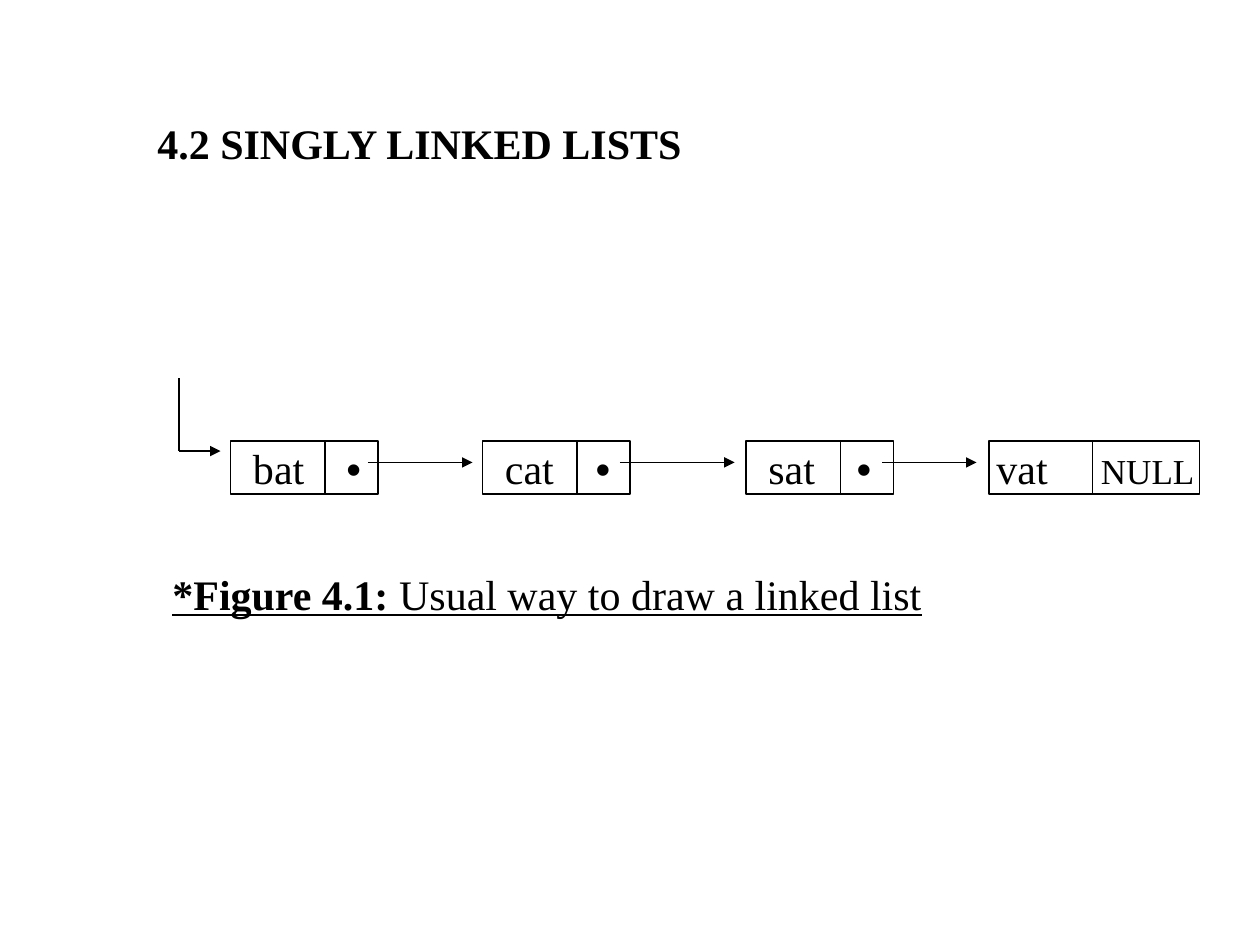
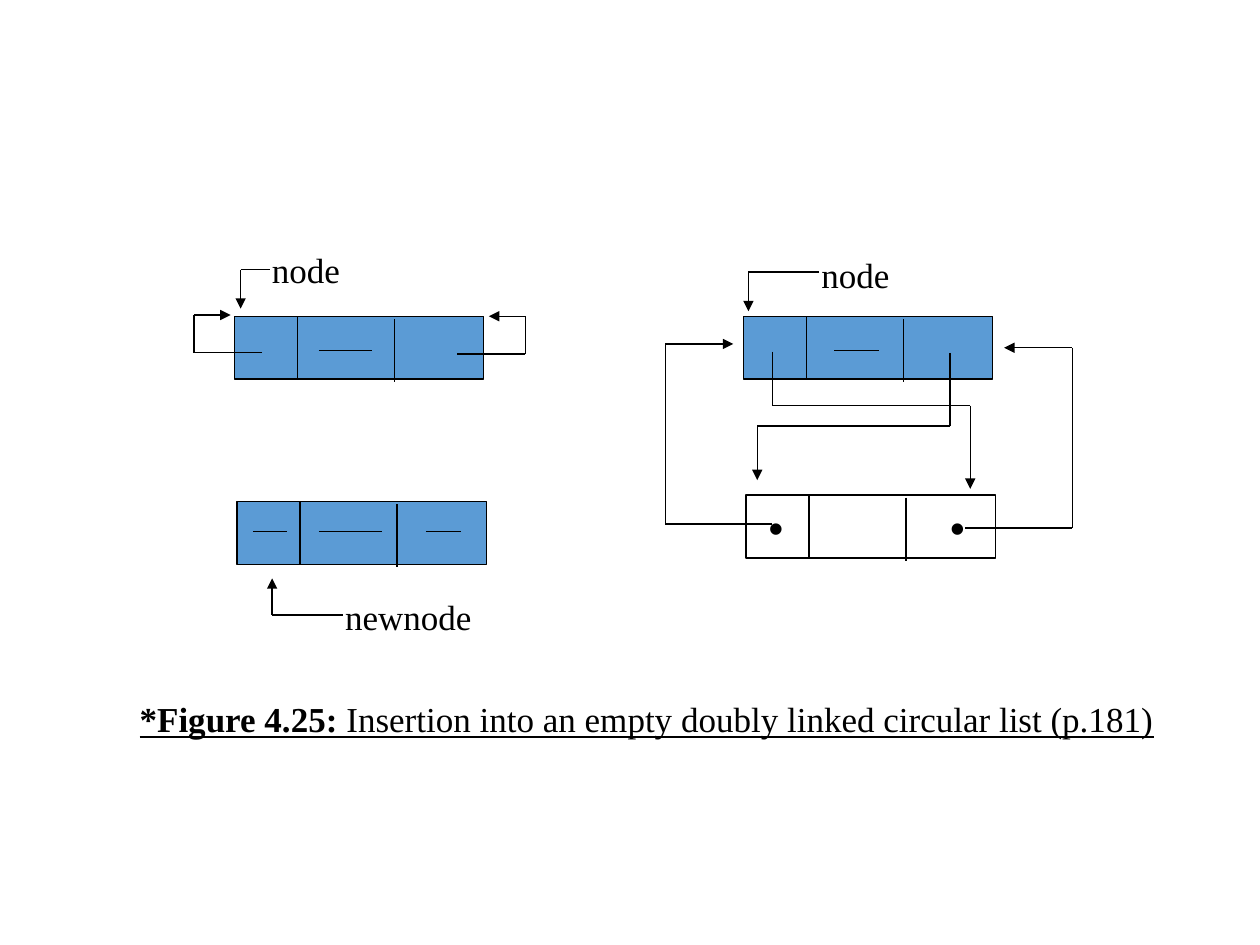
from lxml import etree
from pptx import Presentation
from pptx.dml.color import RGBColor
from pptx.enum.shapes import MSO_CONNECTOR, MSO_SHAPE
from pptx.enum.text import MSO_ANCHOR, PP_ALIGN
from pptx.oxml.ns import qn
from pptx.util import Inches, Pt

RECT = MSO_SHAPE.RECTANGLE
LINE = MSO_CONNECTOR.STRAIGHT
LEFT = PP_ALIGN.LEFT
MIDDLE = MSO_ANCHOR.MIDDLE
TOP = MSO_ANCHOR.TOP

# Shared look; the grid has square cells, 10 columns by 7.5 rows
BLACK, BLUE = "000000", "5B9BD5"
SERIF, SANS = "Times New Roman", "Arial"
CELL = Inches(1)
COLS, ROWS = 10, 7.5
THIN = Pt(0.75)
DOT = "•"

# Nodes of the singly linked list
HIGH, TALL = 3.5, 0.42
WIDE, CUT = 1.17, 0.75

# Nodes of the doubly linked list
SPAN, DEEP = 1.98, 0.5
CUTS = ((0.5, 0), (1.27, 0.02))


def grid(*cells):
    return [round(cell * CELL) for cell in cells]


def paint(color):
    return RGBColor.from_string(color)


def fill_text(frame, runs, size=24, tab=None, anchor=TOP, inset=0.1):
    """Write runs of (text, format) as one paragraph."""
    frame.word_wrap = True
    frame.vertical_anchor = anchor
    frame.margin_left = round(inset * CELL)
    para = frame.paragraphs[0]
    para.alignment = LEFT
    if tab:
        stops = etree.SubElement(para._p.get_or_add_pPr(), qn("a:tabLst"))
        etree.SubElement(stops, qn("a:tab"), pos=str(round(tab * CELL)), algn="l")
    for words, form in runs:
        run = para.add_run()
        run.text = words
        font = run.font
        font.name = form.get("face", SERIF)
        font.size = Pt(form.get("size", size))
        font.bold = form.get("bold", False)
        font.underline = form.get("under", False)
        font.color.rgb = paint(BLACK)


def label(slide, left, top, width, runs, **form):
    box = slide.shapes.add_textbox(*grid(left, top, width, 0.5))
    fill_text(box.text_frame, runs, **form)


def caption(slide, left, top, width, figure, words, size):
    runs = [(figure + " ", {"bold": True, "under": True}), (words, {"under": True})]
    label(slide, left, top, width, runs, size=size)


def frame(slide, left, top, width, height, fill=None):
    box = slide.shapes.add_shape(RECT, *grid(left, top, width, height))
    box.shadow.inherit = False
    if fill:
        box.fill.solid()
        box.fill.fore_color.rgb = paint(fill)
    else:
        box.fill.background()
    box.line.color.rgb = paint(BLACK)
    box.line.width = THIN
    return box


def wire(slide, *stops, tip=False):
    """Join the stops with straight lines; tip puts an arrowhead on the last."""
    for start, end in zip(stops, stops[1:]):
        part = slide.shapes.add_connector(LINE, *grid(*start, *end))
        part.line.color.rgb = paint(BLACK)
        part.line.width = THIN
        props = part._element.spPr
        if tip and end == stops[-1]:
            etree.SubElement(part.line._get_or_add_ln(), qn("a:tailEnd"), type="triangle")
        etree.SubElement(props, qn("a:effectLst"))


def dash(slide, left, right, row):
    wire(slide, (left, row), (right, row))


def single(slide, left, word, mark, form, width=WIDE, cut=CUT, pad=0.08, tab=0.73):
    """Node with a data field and one link field."""
    frame(slide, left, HIGH, width, TALL)
    wire(slide, (left + cut, HIGH), (left + cut, HIGH + TALL))
    runs = [(word + "\t", {}), (mark, form)]
    label(slide, left + pad, HIGH - 0.04, width + 0.3, runs, tab=tab)


def double(slide, left, top, fill=None):
    """Node with a link field on either side of the data field."""
    box = frame(slide, left, top, SPAN, DEEP, fill)
    for cut, drop in CUTS:
        wire(slide, (left + cut, top + drop), (left + cut, top + drop + DEEP))
    return box


def pointer(slide, name, left, row, end, tip, top):
    """Named pointer: a line from the name that bends towards a node."""
    wire(slide, (end, row), (left, row), (left, tip), tip=True)
    label(slide, end - 0.08, top, 1.4, [(name, {})], size=20)


def draw_single(slide):
    label(slide, 1.15, 0.88, 5, [("4.2 SINGLY LINKED LISTS", {"bold": True})])

    # Nodes
    dot = {"face": SANS}
    for left, word, tab in ((1.83, "bat", 0.74), (3.83, "cat", 0.72), (5.92, "sat", 0.7)):
        single(slide, left, word, DOT, dot, tab=tab)
    single(slide, 7.85, "vat", "NULL", {"size": 20}, width=1.67, cut=0.82,
           pad=-0.04, tab=0.83)

    # Links
    wire(slide, (1.42, 3), (1.42, 3.58), (1.75, 3.58), tip=True)
    for start, end in ((2.92, 3.75), (4.92, 5.83), (7, 7.75)):
        wire(slide, (start, 3.67), (end, 3.67), tip=True)

    caption(slide, 1.27, 4.46, 7, "*Figure 4.1:", "Usual way to draw a linked list", 24)


def draw_double(slide):
    # Before: the empty list and the new node
    double(slide, 1.86, 2.51, BLUE)
    double(slide, 1.88, 3.98, BLUE)
    wire(slide, (3.63, 2.81), (4.17, 2.81), (4.17, 2.51), (3.88, 2.51), tip=True)
    wire(slide, (2.08, 2.8), (1.54, 2.8), (1.54, 2.5), (1.83, 2.5), tip=True)
    dash(slide, 2.53, 2.95, 2.78)
    for left, right in ((2.01, 2.28), (2.53, 3.03), (3.38, 3.66)):
        dash(slide, left, right, 4.22)
    pointer(slide, "node", 1.91, 2.14, 2.14, 2.45, 1.92)
    pointer(slide, "newnode", 2.16, 4.88, 2.72, 4.59, 4.68)

    # After: the two nodes in a ring
    double(slide, 5.9, 2.51, BLUE)
    new = double(slide, 5.92, 3.93)
    fill_text(new.text_frame, [(DOT + "\t" + DOT, {"face": SANS})],
              tab=1.44, anchor=MIDDLE, inset=0.18)
    dash(slide, 6.62, 6.98, 2.78)
    pointer(slide, "node", 5.94, 2.16, 6.5, 2.47, 1.96)
    wire(slide, (6.13, 2.79), (6.13, 3.22), (7.7, 3.22), (7.7, 3.88), tip=True)
    wire(slide, (7.54, 2.8), (7.54, 3.38), (6.01, 3.38), (6.01, 3.81), tip=True)
    wire(slide, (7.66, 4.19), (8.51, 4.19), (8.51, 2.76), (7.97, 2.76), tip=True)
    wire(slide, (6.13, 4.16), (5.28, 4.16), (5.28, 2.73), (5.82, 2.73), tip=True)

    caption(slide, 1.01, 5.49, 8.9, "*Figure 4.25:",
            "Insertion into an empty doubly linked circular list (p.181)", 20)


def main():
    deck = Presentation()
    deck.slide_width, deck.slide_height = grid(COLS, ROWS)
    for draw in (draw_single, draw_double):
        draw(deck.slides.add_slide(deck.slide_layouts[6]))
    deck.save("out.pptx")


if __name__ == "__main__":
    main()
